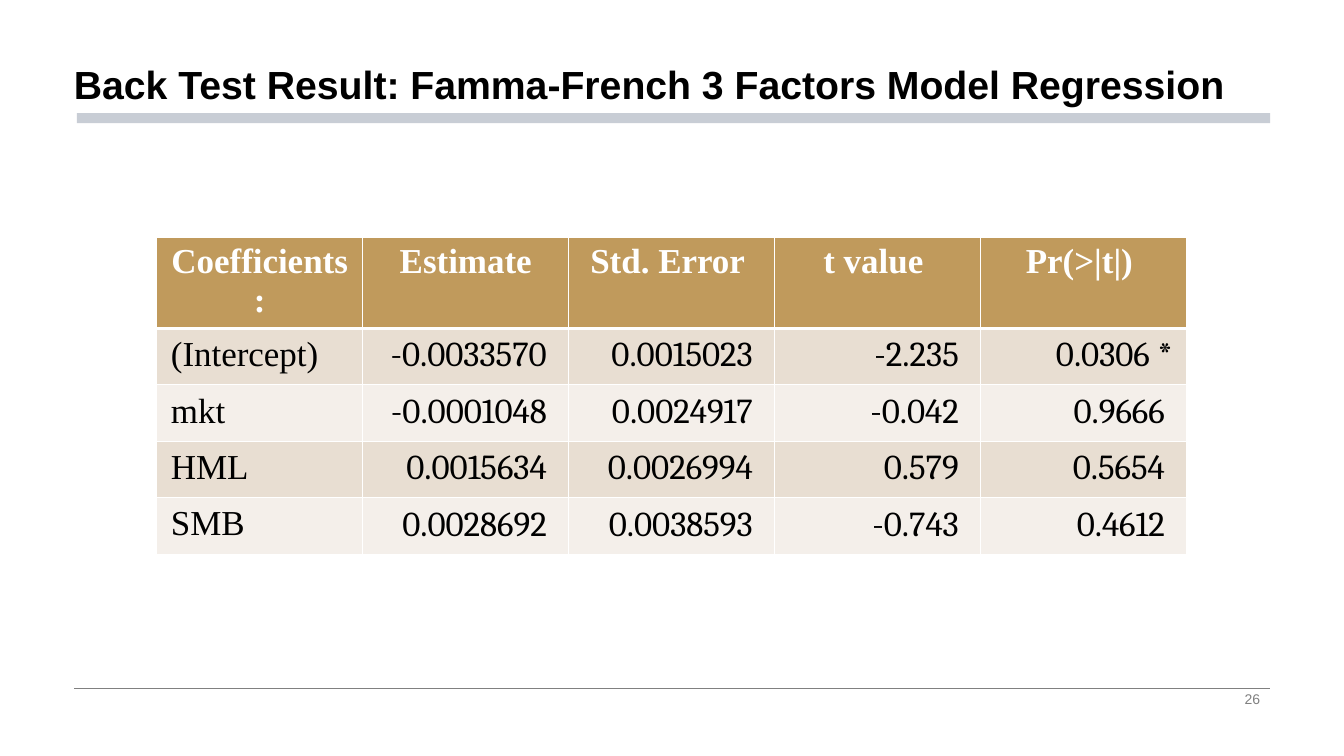
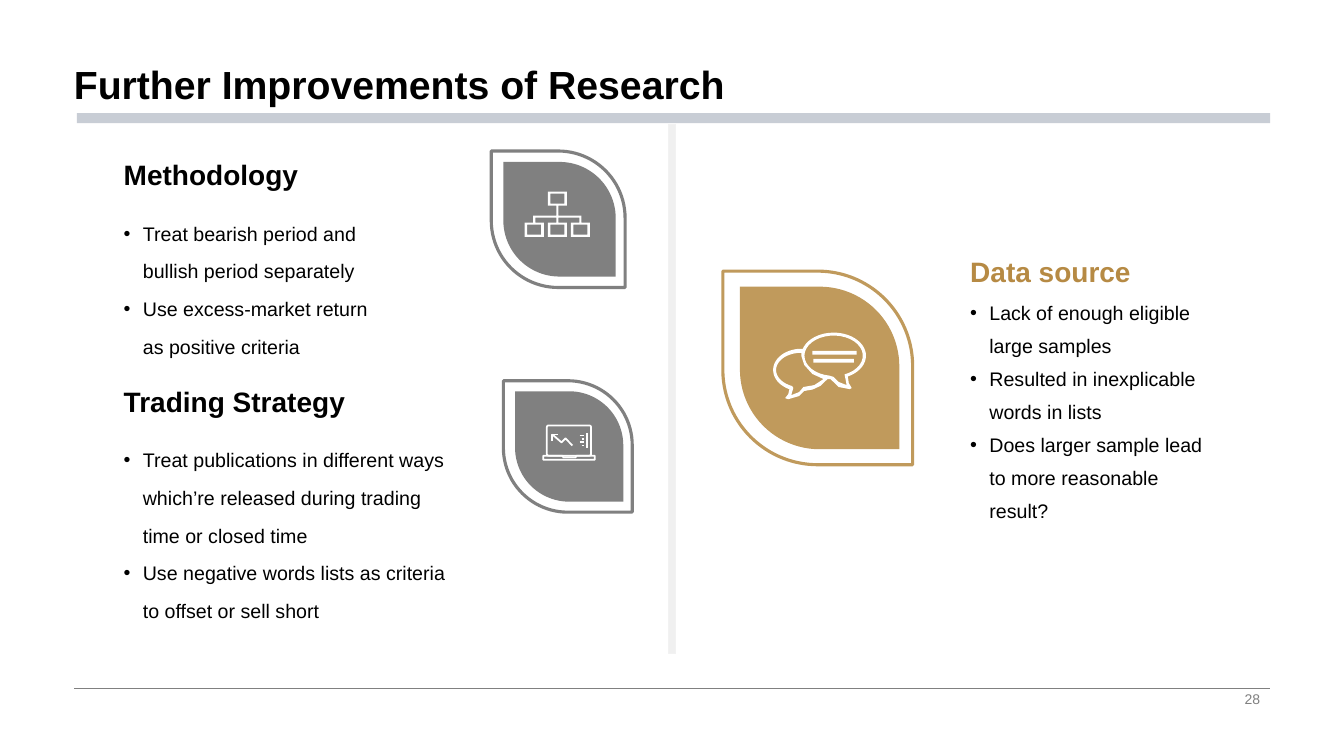
import math
import lxml.etree
import pptx
import pptx.dml.color
import pptx.enum.shapes
import pptx.enum.text
import pptx.oxml.ns
import pptx.util

COLORS = {
    "ink": "000000", "white": "FFFFFF", "gray": "808080", "band": "C8CDD5",
    "divider": "F0F0F0", "divider_edge": "F2F2F2", "gold": "C09A5C",
    "gold_text": "B68A44", "row_dark": "E8DED2", "row_light": "F4EFEA",
}
COLUMNS, ROWS = 64, 36
SHAPES = pptx.enum.shapes.MSO_SHAPE
ALIGN = pptx.enum.text.PP_ALIGN
ANCHOR = pptx.enum.text.MSO_ANCHOR


def rgb(name):
    return pptx.dml.color.RGBColor.from_string(COLORS[name])


def add_node(parent, tag, **attributes):
    return lxml.etree.SubElement(parent, pptx.oxml.ns.qn(tag), **attributes)


def block(x, y, width, height):
    left, top, right, bottom = x - width / 2, y - height / 2, x + width / 2, y + height / 2
    return [(left, top), (right, top), (right, bottom), (left, bottom)]


def arc(center, radii, start, end, steps=32):
    angles = [math.radians(start + (end - start) * step / steps) for step in range(steps + 1)]
    return [(center[0] + radii[0] * math.cos(angle), center[1] + radii[1] * math.sin(angle))
            for angle in angles]


def write(para, text, size=14, color="ink", bold=False, font="Arial",
          align=ALIGN.LEFT, spacing=None, bullet=False):
    if bullet:
        indent = pptx.util.Inches(0.19)
        settings = para._p.get_or_add_pPr()
        settings.set("marL", str(indent))
        settings.set("indent", str(-indent))
        add_node(settings, "a:buFont", typeface="Arial")
        add_node(settings, "a:buChar", char="•")
    para.alignment = align
    if spacing:
        para.line_spacing = spacing
    span = para.add_run()
    span.text = text
    span.font.name = font
    span.font.size = pptx.util.Pt(size)
    span.font.bold = bold
    span.font.color.rgb = rgb(color)


class SlideWriter:
    def __init__(self, deck):
        self.deck = deck
        self.column = deck.slide_width / COLUMNS
        self.row = deck.slide_height / ROWS
        self.page = None

    def place(self, *lengths):
        units = (self.column, self.row) * 2
        return [round(length * unit) for length, unit in zip(lengths, units)]

    def start(self, title, number):
        self.page = self.deck.slides.add_slide(self.deck.slide_layouts[6])
        self.line((3.53, 32.76), (60.48, 32.76), "gray", 0.5)
        self.shape(SHAPES.RECTANGLE, (3.66, 5.39, 56.82, 0.48), fill="band")
        self.text((3.52, 0, 56.98, 5.38), [title], anchor=ANCHOR.BOTTOM, side=0,
                  size=28, bold=True, spacing=0.9)
        self.text((45.22, 32.74, 15.26, 1.1), [str(number)], anchor=ANCHOR.MIDDLE,
                  size=10, color="gray", align=ALIGN.RIGHT)

    def text(self, area, texts, anchor=ANCHOR.TOP, side=0.48, wrap=True, **style):
        frame = self.page.shapes.add_textbox(*self.place(*area)).text_frame
        frame.word_wrap = wrap
        frame.vertical_anchor = anchor
        frame.margin_left = frame.margin_right = round(side * self.column)
        frame.margin_top = frame.margin_bottom = round(0.24 * self.row)
        for index, text in enumerate(texts):
            para = frame.add_paragraph() if index else frame.paragraphs[0]
            write(para, text, **style)

    def topic(self, left, top, heading, points, width, height,
              color="ink", spacing=1.6, step=2.69):
        self.text((left, top + step, width, height), points, spacing=spacing, bullet=True)
        self.text((left, top, 13.2, 2.69), [heading], anchor=ANCHOR.MIDDLE,
                  wrap=False, size=20, bold=True, color=color)

    def paint(self, shape, fill=None, edge=None, weight=1):
        shape.shadow.inherit = False
        if fill:
            shape.fill.solid()
            shape.fill.fore_color.rgb = rgb(fill)
        else:
            shape.fill.background()
        if edge:
            shape.line.color.rgb = rgb(edge)
            shape.line.width = pptx.util.Pt(weight)
        else:
            shape.line.fill.background()

    def shape(self, kind, area, adjustments=(), rotation=0, **look):
        shape = self.page.shapes.add_shape(kind, *self.place(*area))
        for index, value in enumerate(adjustments):
            shape.adjustments[index] = value
        shape.rotation = rotation
        self.paint(shape, **look)

    def line(self, start, end, color="white", weight=1.5):
        line = self.page.shapes.add_connector(
            pptx.enum.shapes.MSO_CONNECTOR.STRAIGHT, *self.place(*start, *end))
        line.line.color.rgb = rgb(color)
        line.line.width = pptx.util.Pt(weight)
        add_node(line._element.spPr, "a:effectLst")

    def outline(self, *contours, close=True, **look):
        builder = None
        for contour in contours:
            corners = [self.place(*point) for point in contour]
            if builder:
                builder.move_to(*corners[0])
            else:
                builder = self.page.shapes.build_freeform(*corners[0], scale=1.0)
            builder.add_line_segments(corners[1:], close=close)
        self.paint(builder.convert_to_shape(), **look)

    def leaf(self, x, y, size, color):
        inner = 0.84 * size
        looks = ((x, size, {"edge": color, "weight": 2.25}),
                 (x + 0.01 * size, inner, {"fill": color}))
        for center, width, look in looks:
            height = 0.98 * width
            self.shape(SHAPES.ROUND_2_DIAG_RECTANGLE,
                       (center - width / 2, y - height / 2, width, height),
                       (0.5, 0), 270, **look)

    def tree_icon(self, x, top):
        gap, stroke = 1.1, 0.1
        bar, bottom = top + 0.86, top + 1.48
        children = [x - gap, x, x + gap]
        contours = [block(x, top + 0.57, stroke, 0.48),
                    block(x, bar, 2 * gap + stroke, stroke)]
        for center, middle in [(x, top)] + [(child, bottom) for child in children]:
            contours += [block(center, middle, 0.91, 0.67), block(center, middle, 0.67, 0.48)]
        contours += [block(child, bar + 0.17, stroke, 0.24) for child in children]
        self.outline(*contours, fill="white")

    def laptop_icon(self, left, top):
        def shift(*points):
            return [(left + x, top + y) for x, y in points]

        pen = {"edge": "white", "weight": 1.25}
        self.shape(SHAPES.ROUNDED_RECTANGLE, (left + 0.17, top, 2.11, 1.44), (0.06,), **pen)
        self.outline(shift((0, 1.44), (0.91, 1.44), (0.96, 1.52), (1.54, 1.52),
                           (1.59, 1.44), (2.45, 1.44), (2.45, 1.63), (0, 1.63)), **pen)
        self.outline(shift((1.39, 0.96), (1.06, 0.62), (0.87, 0.81), (0.43, 0.43)),
                     shift((0.43, 0.72), (0.43, 0.43), (0.72, 0.43)), close=False, **pen)
        for index in range(4):
            height = 0.48 + 0.16 * index
            start = 1.73 + 0.1 * (index % 2)
            self.line(*shift((start, height), (1.92, height)), weight=1.25)
        self.line(*shift((2.07, 0.38), (2.07, 1.08)), weight=1.25)

    def chat_icon(self):
        front, back = (39.7, 16.94), (38.16, 17.62)
        silhouette = arc(front, (1.54, 1.1), 197, 424) + [
            (40.42, 18.24), (40.56, 18.48), (40.46, 18.53), (39.94, 18.43), (39.55, 18.05),
            (39.41, 18.05), (39.07, 18.38), (38.7, 18.55), (38.3, 18.62), (38.06, 18.86),
            (37.54, 19.01), (37.39, 18.96), (37.54, 18.77),
        ] + arc(back, (1.34, 1.01), 115, 270)
        front_hole = arc(front, (1.39, 0.96), 98, 428) + [
            (40.32, 18.34), (39.94, 18.19), (39.7, 17.95)]
        back_hole = arc(back, (1.2, 0.82), 111, 270) + [
            (38.16, 16.94), (38.3, 17.38), (38.69, 17.81), (39.22, 18.05), (38.78, 18.34),
            (38.26, 18.43), (38.06, 18.67), (37.68, 18.82), (37.78, 18.48)]
        self.outline(silhouette, front_hole, back_hole, block(39.74, 16.8, 2.11, 0.19),
                     block(39.7, 17.18, 1.92, 0.19), fill="white")

    def borders(self, cell, **weights):
        settings = cell._tc.get_or_add_tcPr()
        for side in "LRTB":
            width = pptx.util.Pt(weights.get(side, 1))
            edge = add_node(settings, f"a:ln{side}", w=str(width))
            fill = add_node(edge, "a:solidFill")
            add_node(fill, "a:srgbClr", val=COLORS["white"])

    def table(self, area, records):
        table = self.page.shapes.add_table(
            len(records), len(records[0]), *self.place(*area)).table
        table.horz_banding = False
        for row, record in enumerate(records):
            for column, text in enumerate(record):
                cell = table.cell(row, column)
                header, label = row == 0, column == 0
                cell.margin_left = cell.margin_right = round(0.68 * self.column)
                cell.margin_top = round((0.24 if header else 0.34) * self.row)
                cell.margin_bottom = round((0.1 if header else 0.34) * self.row)
                self.borders(cell, B=3 if header else 1, T=3 if row == 1 else 1)
                cell.fill.solid()
                cell.fill.fore_color.rgb = rgb(
                    "gold" if header else "row_dark" if row % 2 else "row_light")
                write(cell.text_frame.paragraphs[0], text, size=25, bold=header,
                      color="white" if header else "ink",
                      font="Times New Roman" if header or label else "Cambria",
                      align=ALIGN.CENTER if header else ALIGN.LEFT if label else ALIGN.RIGHT)


def regression_slide(writer):
    writer.start("Back Test Result: Famma-French 3 Factors Model Regression", 26)
    writer.table((7.46, 11.3, 49.06, 13.44), [
        ("Coefficients:", "Estimate", "Std. Error ", "t value ", "Pr(>|t|) "),
        ("(Intercept)", "-0.0033570 ", "0.0015023 ", "-2.235 ", "0.0306 *"),
        ("mkt", "-0.0001048 ", "0.0024917 ", "-0.042 ", "0.9666 "),
        ("HML", "0.0015634 ", "0.0026994 ", "0.579 ", "0.5654 "),
        ("SMB", "0.0028692 ", "0.0038593 ", "-0.743 ", "0.4612 "),
    ])


def improvements_slide(writer):
    writer.start("Further Improvements of Research", 28)
    writer.shape(SHAPES.RECTANGLE, (31.84, 5.92, 0.34, 25.2),
                 fill="divider", edge="divider_edge")
    writer.leaf(27.04, 21.26, 6.26, "gray")
    writer.laptop_icon(25.87, 20.26)
    writer.leaf(26.58, 10.44, 6.5, "gray")
    writer.tree_icon(26.54, 9.46)
    writer.leaf(38.94, 17.52, 9.22, "gold")
    writer.chat_icon()
    writer.topic(45.72, 11.57, "Data source", [
        "Lack of enough eligible large samples",
        "Resulted in inexplicable words in lists",
        "Does larger sample lead to more reasonable result?",
    ], 12.86, 11.9, color="gold_text", spacing=1.4, step=2.08)
    writer.topic(5.41, 6.96, "Methodology", [
        "Treat bearish period and bullish period separately",
        "Use excess-market return as positive criteria",
    ], 13.49, 7.54)
    writer.topic(5.41, 17.75, "Trading Strategy", [
        "Treat publications in different ways which’re released during trading time or closed time",
        "Use negative words lists as criteria to offset or sell short",
    ], 16.8, 9.55)


def main():
    deck = pptx.Presentation()
    deck.slide_width = pptx.util.Inches(13.33)
    deck.slide_height = pptx.util.Inches(7.5)
    writer = SlideWriter(deck)
    regression_slide(writer)
    improvements_slide(writer)
    deck.save("out.pptx")


if __name__ == "__main__":
    main()
